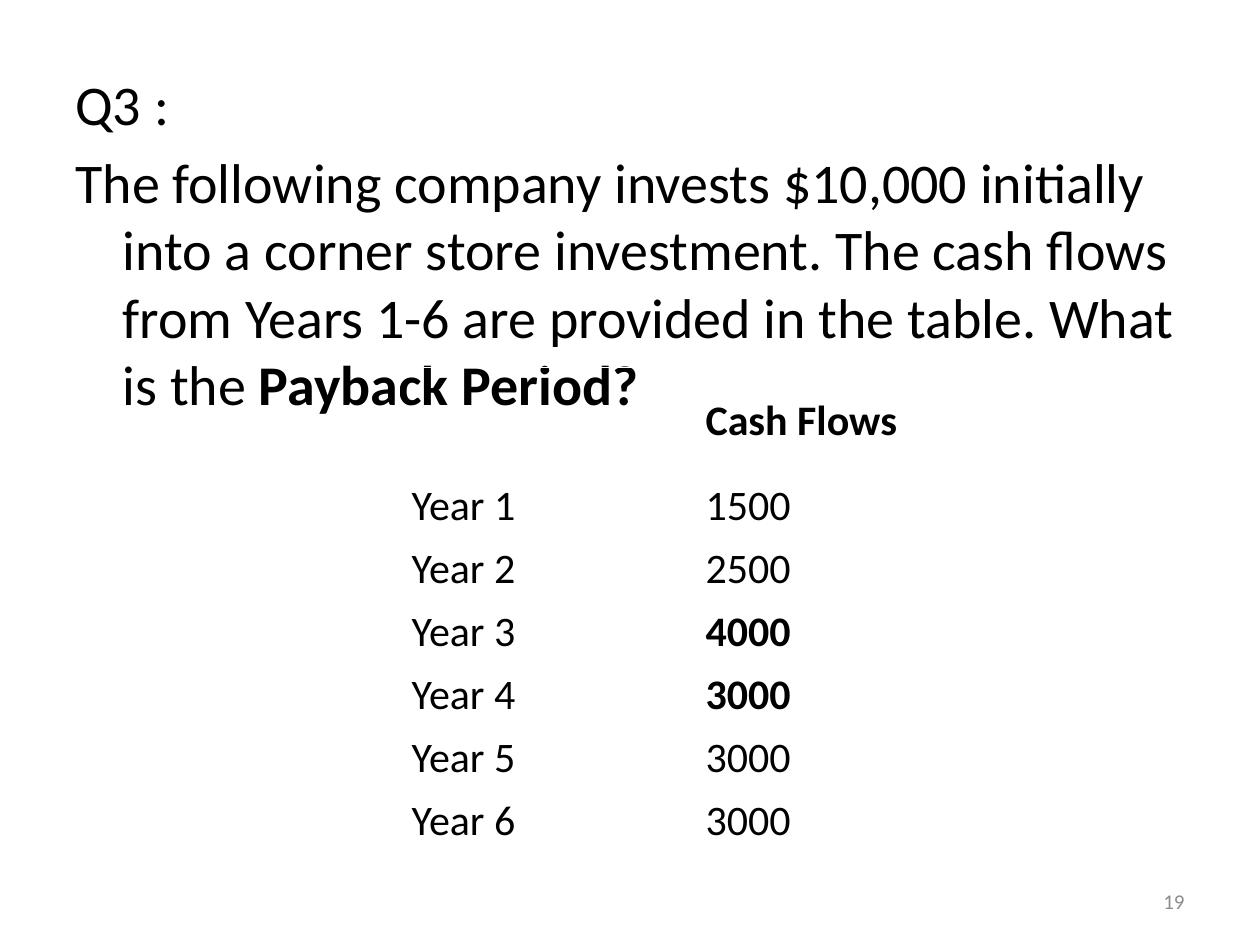
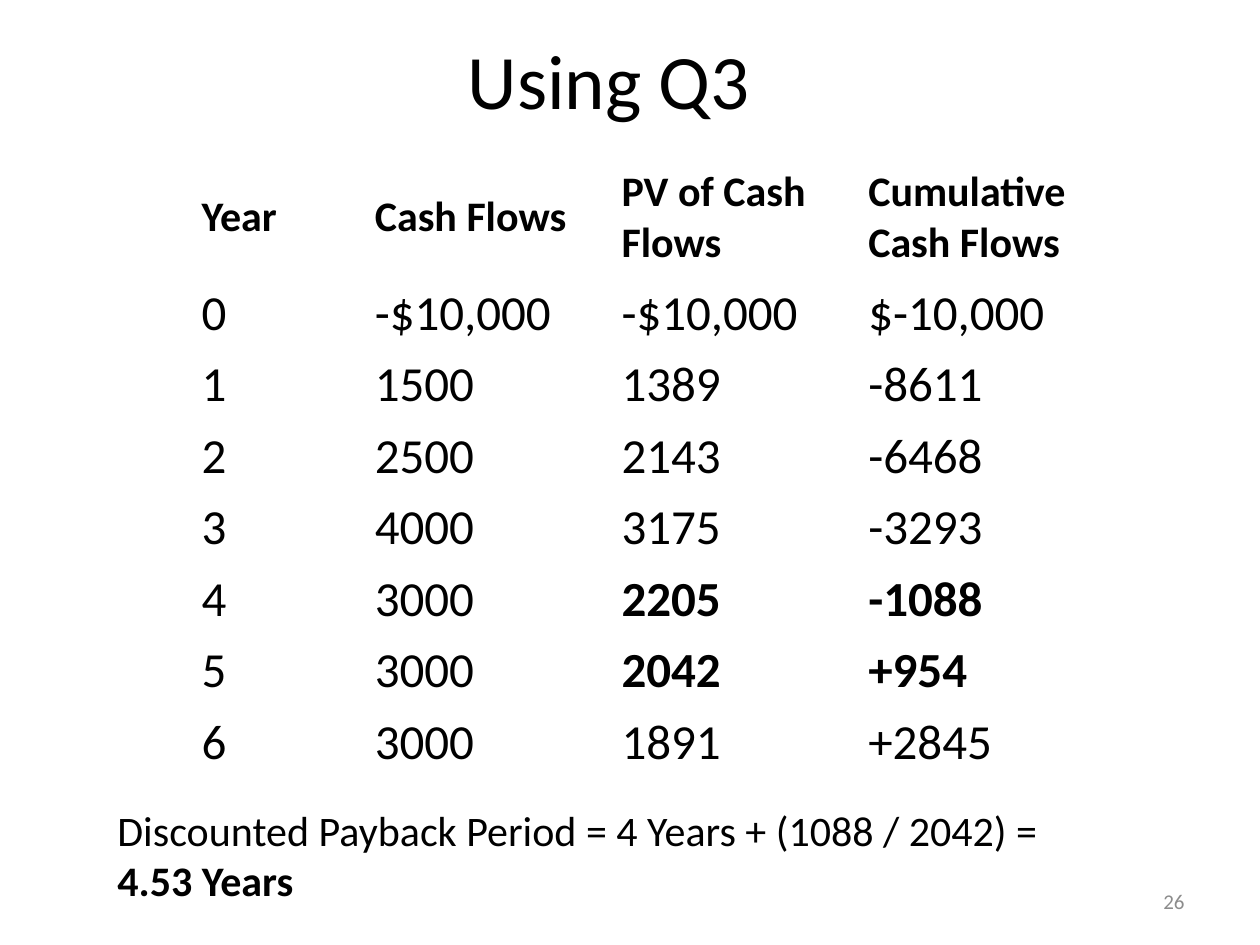
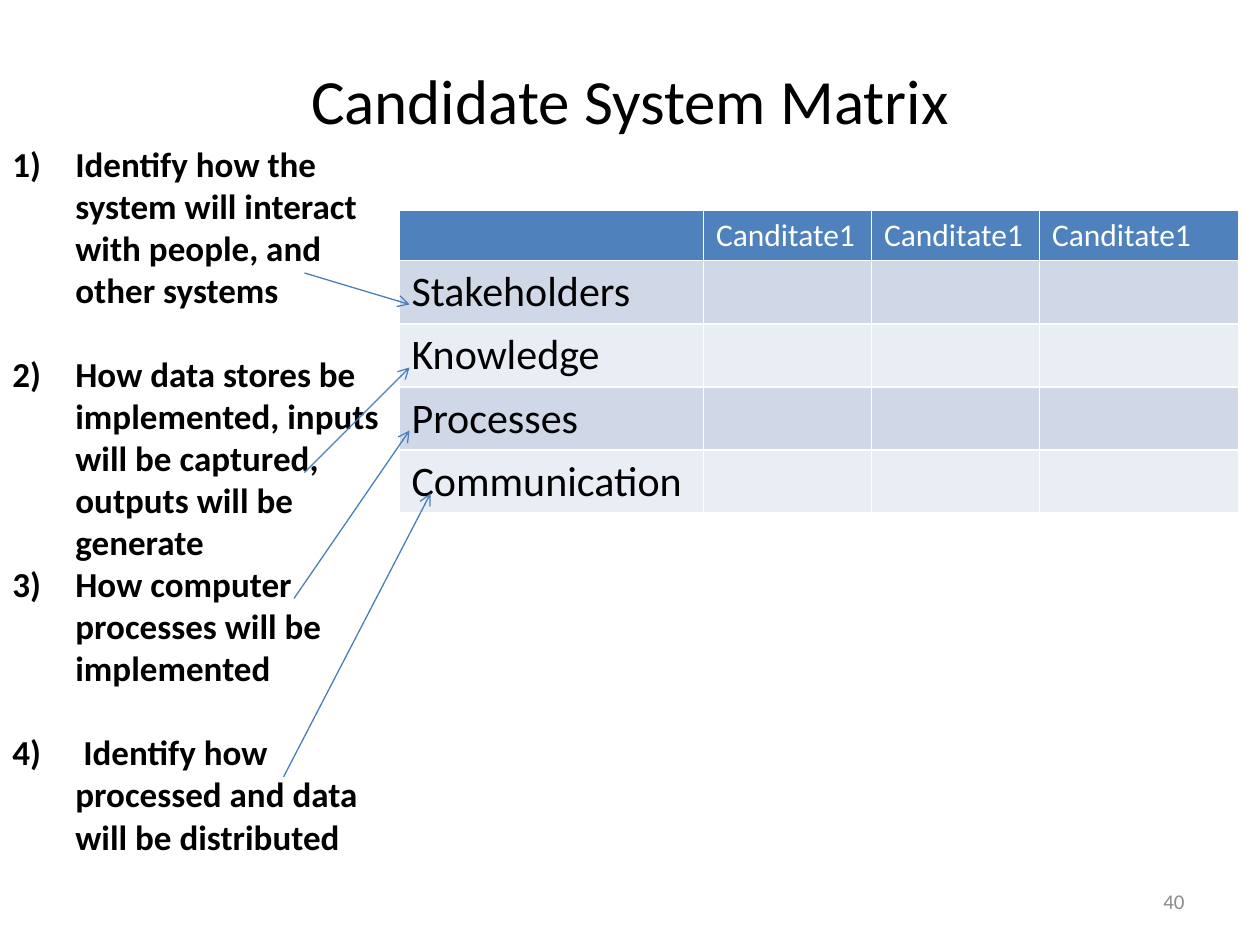
from typing import NamedTuple

from lxml.etree import SubElement
from pptx import Presentation
from pptx.dml.color import RGBColor
from pptx.enum.shapes import MSO_CONNECTOR
from pptx.enum.text import MSO_ANCHOR as Anchor, PP_ALIGN as Align
from pptx.oxml.ns import qn
from pptx.util import Pt

FONT = "Calibri"
BLACK = RGBColor(0x00, 0x00, 0x00)
WHITE = RGBColor(0xFF, 0xFF, 0xFF)
GREY = RGBColor(0x8C, 0x8C, 0x8C)
HEADER_BLUE = RGBColor(0x4F, 0x81, 0xBD)
BANDS = (RGBColor(0xD0, 0xD8, 0xE8), RGBColor(0xE9, 0xED, 0xF4))
ARROW_BLUE = RGBColor(0x4B, 0x7E, 0xBC)


class Box(NamedTuple):
    left: float
    top: float
    width: float
    height: float


class Span(NamedTuple):
    text: str
    bold: bool = False


class Para(NamedTuple):
    spans: tuple[Span, ...]
    space_before: float = 0
    indent: float = 0
    numbered: bool = False


class Grid(NamedTuple):
    left: float
    top: float
    widths: tuple[float, ...]
    header_height: float
    row_height: float
    rows: list[list[str]]
    size: float = 24
    header_size: float = 24
    header_bold: bool = True
    bold_cells: tuple[tuple[int, int], ...] = ()
    filled: bool = False


class Arrow(NamedTuple):
    x1: float
    y1: float
    x2: float
    y2: float


def style_runs(p, size: float, color: RGBColor = BLACK, bold: bool = False) -> None:
    for r in p.runs:
        r.font.name, r.font.size, r.font.bold = FONT, Pt(size), bold
        r.font.color.rgb = color


def add_text(s, box: Box, paras: list[Para], size: float, color: RGBColor = BLACK,
             align=Align.LEFT, anchor=Anchor.TOP) -> None:
    tf = s.shapes.add_textbox(*map(Pt, box)).text_frame
    tf.word_wrap, tf.vertical_anchor = True, anchor
    for i, para in enumerate(paras):
        p = tf.add_paragraph() if i else tf.paragraphs[0]
        p.alignment, p.space_before = align, Pt(para.space_before)
        if para.indent:
            pPr = p._p.get_or_add_pPr()
            pPr.set("marL", str(Pt(para.indent)))
            pPr.set("indent", str(-Pt(para.indent)))
            if para.numbered:
                SubElement(pPr, qn("a:buFont"), typeface="+mj-lt")
                SubElement(pPr, qn("a:buAutoNum"), type="arabicParenR")
        for span in para.spans:
            p.add_run().text = span.text
        style_runs(p, size, color)
        for r, span in zip(p.runs, para.spans):
            r.font.bold = span.bold


def add_title(s, box: Box, text: str, size: float) -> None:
    add_text(s, box, [Para((Span(text),))], size, align=Align.CENTER, anchor=Anchor.MIDDLE)


def add_grid(s, grid: Grid) -> None:
    height = grid.header_height + grid.row_height * (len(grid.rows) - 1)
    table = s.shapes.add_table(len(grid.rows), len(grid.widths), Pt(grid.left), Pt(grid.top),
                               Pt(sum(grid.widths)), Pt(height)).table
    table.first_row = table.horz_banding = grid.filled
    for column, width in zip(table.columns, grid.widths):
        column.width = Pt(width)
    for i, values in enumerate(grid.rows):
        header = i == 0
        table.rows[i].height = Pt(grid.header_height if header else grid.row_height)
        for j, value in enumerate(values):
            cell = table.cell(i, j)
            if grid.filled:
                cell.fill.solid()
                cell.fill.fore_color.rgb = HEADER_BLUE if header else BANDS[(i - 1) % 2]
            else:
                cell.fill.background()
                cell.vertical_anchor = Anchor.MIDDLE
            cell.text_frame.text = value
            style_runs(cell.text_frame.paragraphs[0],
                       grid.header_size if header else grid.size,
                       WHITE if header and grid.filled else BLACK,
                       grid.header_bold if header else (i, j) in grid.bold_cells)


def add_arrow(s, arrow: Arrow) -> None:
    line = s.shapes.add_connector(MSO_CONNECTOR.STRAIGHT, *map(Pt, arrow))
    line.line.color.rgb, line.line.width = ARROW_BLUE, Pt(0.75)
    spPr = line.element.spPr
    SubElement(spPr.find(qn("a:ln")), qn("a:tailEnd"), type="arrow")
    SubElement(spPr, qn("a:effectLst"))


def new_slide(prs, number: int):
    s = prs.slides.add_slide(prs.slide_layouts[6])
    add_text(s, Box(516, 500.5, 168, 28.75), [Para((Span(str(number)),))], 12, GREY,
             Align.RIGHT, Anchor.MIDDLE)
    return s


CASH_FLOWS = ["1500", "2500", "4000", "3000", "3000", "3000"]


def payback_question(prs) -> None:
    s = new_slide(prs, 19)
    add_text(s, Box(36, 36, 648, 446), [
        Para((Span("Q3 :"),), indent=27),
        Para((Span("The following company invests $10,000 initially into a corner store "
                   "investment. The cash flows from Years 1-6 are provided in the table. "
                   "What is the "), Span("Payback Period?", True)),
             space_before=6.4, indent=27),
    ], 32)
    years = [[f"Year {n}", flow] for n, flow in enumerate(CASH_FLOWS, 1)]
    add_grid(s, Grid(228, 210, (168, 168), 61, 36, [["", "Cash Flows"], *years],
                     bold_cells=((3, 1), (4, 1))))


def discounted_payback(prs) -> None:
    s = new_slide(prs, 26)
    add_title(s, Box(24, 0, 648, 90), "Using Q3", 44)
    present_values = ["1389", "2143", "3175", "2205", "2042", "1891"]
    cumulative = ["-8611", "-6468", "-3293", "-1088", "+954", "+2845"]
    years = [[str(n), *row] for n, row in
             enumerate(zip(CASH_FLOWS, present_values, cumulative), 1)]
    add_grid(s, Grid(108, 90, (99, 141, 141, 141), 68.5, 39, [
        ["Year", "Cash Flows", "PV of Cash Flows", "Cumulative Cash Flows"],
        ["0", "-$10,000", "-$10,000", "$-10,000"],
        *years,
    ], size=28, bold_cells=((5, 2), (5, 3), (6, 2), (6, 3))))
    add_text(s, Box(60, 456, 558, 65.5), [
        Para((Span("Discounted Payback Period = 4 Years + (1088 / 2042) = "),
              Span("4.53 Years", True)))], 24)


def candidate_matrix(prs) -> None:
    s = new_slide(prs, 40)
    add_title(s, Box(36, 11.5, 648, 90), "Candidate System Matrix", 36)
    topics = ["Stakeholders", "Knowledge", "Processes", "Communication"]
    add_grid(s, Grid(228, 120, (174, 96, 96, 114), 29, 36, [
        ["", *["Canditate1"] * 3],
        *([topic, "", "", ""] for topic in topics),
    ], header_size=18, header_bold=False, filled=True))

    # Numbered steps, each pointing at its matrix row
    steps = [
        ("Identify how the system will interact with people, and other systems", 0),
        ("How data stores be implemented, inputs will be captured, outputs will be generate", 24),
        ("How computer processes will be implemented", 0),
        (" Identify how processed and data will be distributed", 24),
    ]
    add_text(s, Box(0, 78, 228, 419),
             [Para((Span(text, True),), gap, 36, True) for text, gap in steps], 20)
    for arrow in (Arrow(174, 156, 234, 174), Arrow(174, 270, 234, 210),
                  Arrow(168, 342, 234, 246), Arrow(162, 444, 246, 282)):
        add_arrow(s, arrow)


def main() -> None:
    prs = Presentation()
    prs.slide_width, prs.slide_height = Pt(720), Pt(540)
    payback_question(prs)
    discounted_payback(prs)
    candidate_matrix(prs)
    prs.save("out.pptx")


if __name__ == "__main__":
    main()
